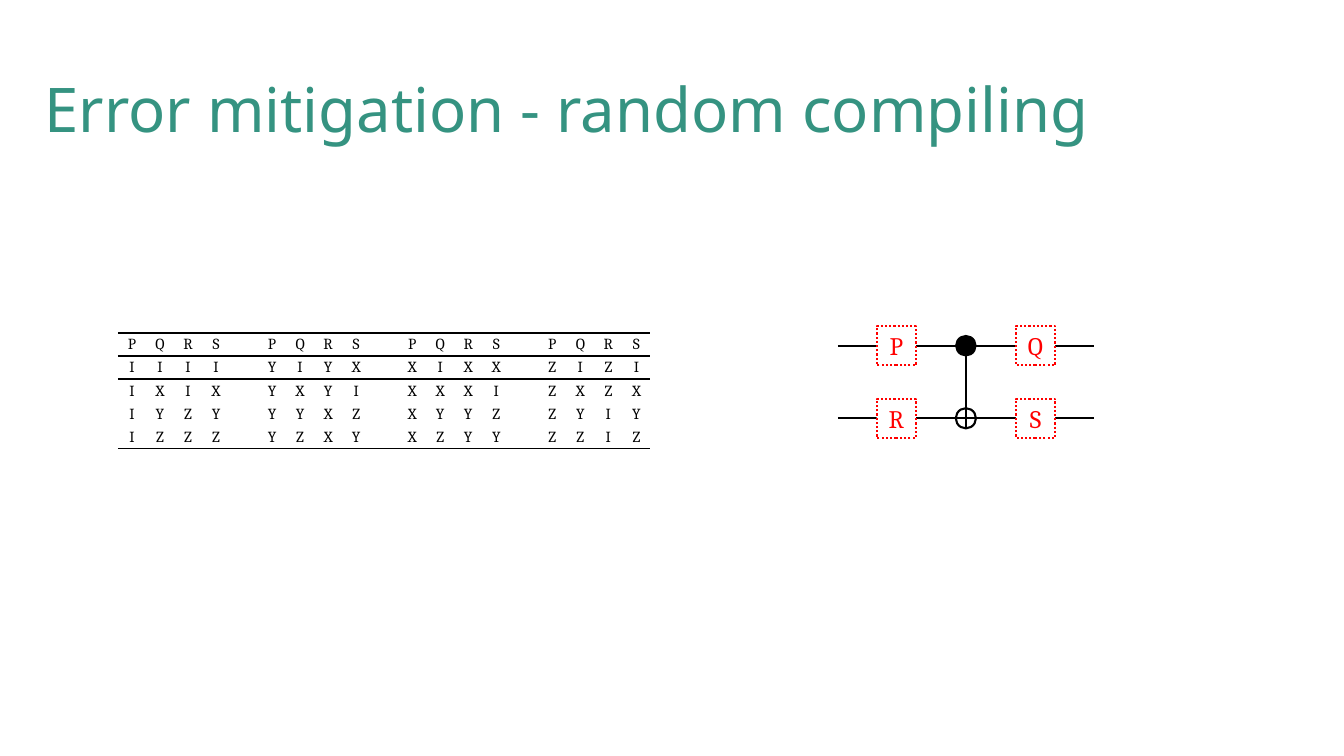
from lxml.etree import SubElement
from pptx import Presentation
from pptx.dml.color import RGBColor
from pptx.enum.dml import MSO_LINE
from pptx.enum.shapes import MSO_CONNECTOR, MSO_SHAPE
from pptx.enum.text import MSO_ANCHOR, MSO_AUTO_SIZE, PP_ALIGN
from pptx.oxml.ns import qn
from pptx.util import Inches, Pt

COLORS = {"title": "359381", "ink": "000000", "gate": "FF0000", "paper": "FFFFFF"}
TITLE_FONT, MATH_FONT = "Noto Sans", "Cambria"
NO_STYLE = "{2D5ABB26-0587-4C30-8999-92F81FD0307C}"

PAULI_ROWS = [
    "PQRS PQRS PQRS PQRS",
    "IIII YIYX XIXX ZIZI",
    "IXIX YXYI XXXI ZXZX",
    "IYZY YYXZ XYYZ ZYIY",
    "IZZZ YZXY XZYY ZZIZ",
]
CELL_W, CELL_H = 0.278, 0.23
GATES = [("P", -1, 0), ("Q", 1, 0), ("R", -1, 1), ("S", 1, 1)]
CENTER_X, TOP_WIRE = 9.58, 3.43
GATE_STEP, WIRE_STEP = 0.69, 0.72
WIRE_REACH, GATE_SIZE, DOT_SIZE = 1.27, 0.39, 0.2


def rgb(name):
    return RGBColor.from_string(COLORS[name])


def add_run(p, text, font, size, color):
    r = p.add_run()
    r.text = text
    r.font.name = font
    r.font.size = Pt(size)
    r.font.color.rgb = rgb(color)


def set_title(prs, s, text):
    sp = s.shapes.title
    sp.left, sp.top = int(prs.slide_width * 0.0255), int(prs.slide_height * 0.077)
    sp.width, sp.height = int(prs.slide_width * 0.949), int(prs.slide_height * 0.143)
    tf = sp.text_frame
    tf.auto_size = MSO_AUTO_SIZE.NONE
    tf.vertical_anchor = MSO_ANCHOR.MIDDLE
    p = tf.paragraphs[0]
    p.alignment = PP_ALIGN.LEFT
    p.line_spacing = 0.9
    add_run(p, text, TITLE_FONT, 44, "title")


def add_rule(cell, side):
    ln = SubElement(cell._tc.get_or_add_tcPr(), qn(f"a:{side}"), w=str(Pt(1.5)))
    fill = SubElement(ln, qn("a:solidFill"))
    SubElement(fill, qn("a:srgbClr"), val=COLORS["ink"])


def fill_cell(cell, letter, sides):
    cell.margin_left = cell.margin_right = cell.margin_top = Inches(0.01)
    cell.margin_bottom = 0
    cell.vertical_anchor = MSO_ANCHOR.MIDDLE
    p = cell.text_frame.paragraphs[0]
    p.alignment = PP_ALIGN.CENTER
    if letter.strip():
        add_run(p, letter, MATH_FONT, 11, "ink")
    else:
        SubElement(p._p, qn("a:endParaRPr"), sz="1100")
    for side in sides:
        add_rule(cell, side)
    cell.fill.background()


def add_pauli_table(s, left, top):
    rows, cols = len(PAULI_ROWS), len(PAULI_ROWS[0])
    frame = s.shapes.add_table(rows, cols, Inches(left), Inches(top),
                               Inches(cols * CELL_W), Inches(rows * CELL_H))
    table = frame.table
    table.first_row = table.horz_banding = False
    table._tbl.tblPr.find(qn("a:tableStyleId")).text = NO_STYLE
    for column in table.columns:
        column.width = Inches(CELL_W)
    sides = {0: ["lnT", "lnB"], 1: ["lnT"], rows - 1: ["lnB"]}
    for i, letters in enumerate(PAULI_ROWS):
        table.rows[i].height = Inches(CELL_H)
        for j, letter in enumerate(letters):
            fill_cell(table.cell(i, j), letter, sides.get(i, []))


def add_line(group, x1, y1, x2, y2):
    line = group.shapes.add_connector(MSO_CONNECTOR.STRAIGHT, Inches(x1), Inches(y1),
                                      Inches(x2), Inches(y2))
    line.line.color.rgb = rgb("ink")
    line.line.width = Pt(1.5)
    SubElement(line._element.spPr, qn("a:effectLst"))


def add_centered(group, kind, x, y, size, fill, color, width):
    sp = group.shapes.add_shape(kind, Inches(x - size / 2), Inches(y - size / 2),
                                Inches(size), Inches(size))
    sp.shadow.inherit = False
    if fill:
        sp.fill.solid()
        sp.fill.fore_color.rgb = rgb(fill)
    else:
        sp.fill.background()
    sp.line.color.rgb = rgb(color)
    sp.line.width = Pt(width)
    return sp


def add_gate(group, letter, x, y):
    sp = add_centered(group, MSO_SHAPE.RECTANGLE, x, y, GATE_SIZE, "paper", "gate", 1.5)
    sp.line.dash_style = MSO_LINE.ROUND_DOT
    tf = sp.text_frame
    tf.margin_left = tf.margin_right = tf.margin_top = tf.margin_bottom = 0
    tf.vertical_anchor = MSO_ANCHOR.MIDDLE
    p = tf.paragraphs[0]
    p.alignment = PP_ALIGN.CENTER
    add_run(p, letter, MATH_FONT, 18, "gate")


def add_circuit(s):
    group = s.shapes.add_group_shape()
    wires = [TOP_WIRE + row * WIRE_STEP for row in range(2)]
    for y in wires:
        add_line(group, CENTER_X - WIRE_REACH, y, CENTER_X + WIRE_REACH, y)
    for y, fill, width in zip(wires, ("ink", None), (1, 1.5)):
        add_centered(group, MSO_SHAPE.OVAL, CENTER_X, y, DOT_SIZE, fill, "ink", width)
    add_line(group, CENTER_X, wires[0] + DOT_SIZE / 2, CENTER_X, wires[1] + DOT_SIZE / 2)
    for letter, side, row in GATES:
        add_gate(group, letter, CENTER_X + side * GATE_STEP, wires[row])


def main():
    prs = Presentation()
    prs.slide_width, prs.slide_height = Inches(13.33), Inches(7.5)
    s = prs.slides.add_slide(prs.slide_layouts[5])
    set_title(prs, s, "Error mitigation - random compiling")
    add_circuit(s)
    add_pauli_table(s, 1.17, 3.3)
    prs.save("out.pptx")


if __name__ == "__main__":
    main()
